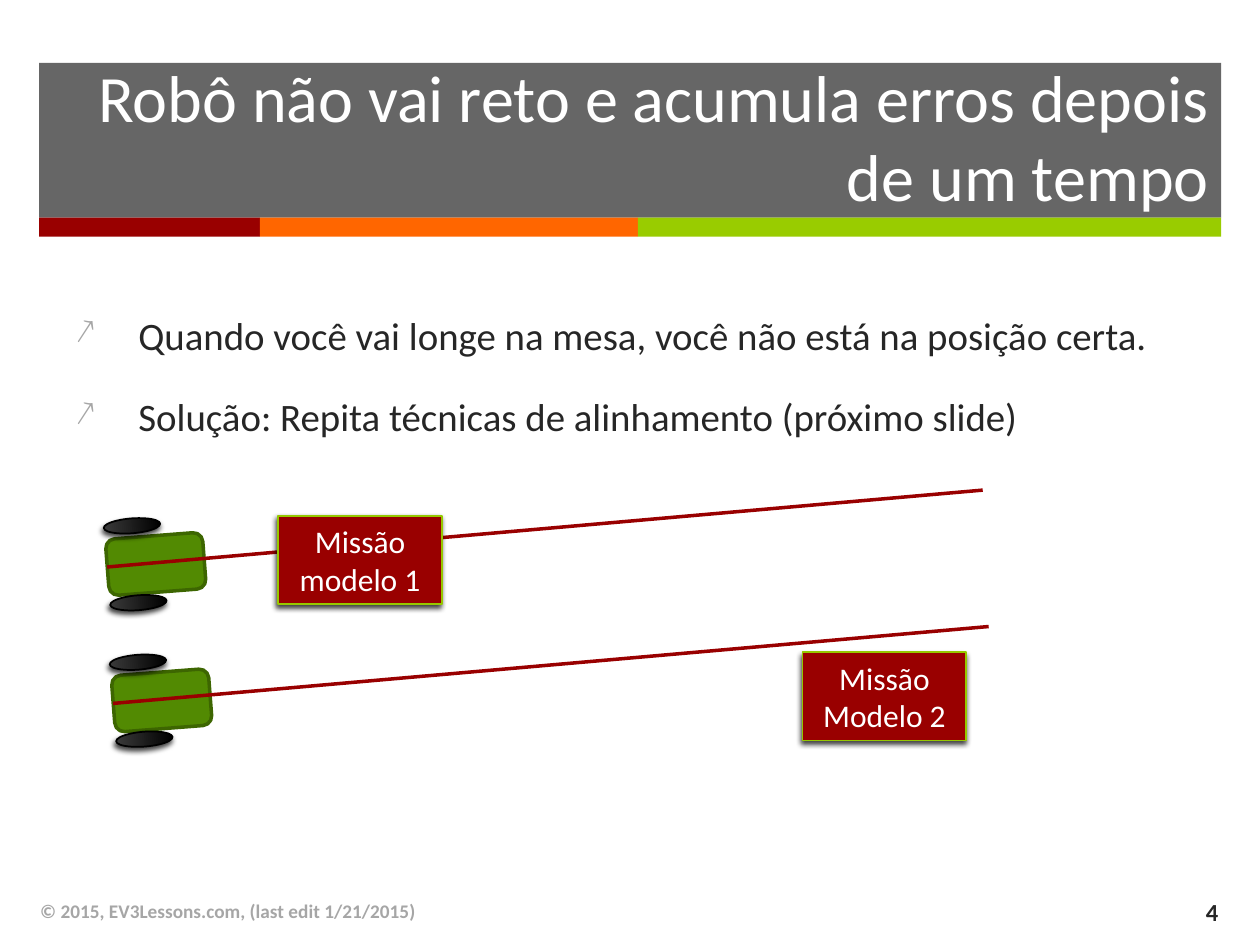
import pptx
import pptx.util
import pptx.dml.color
import pptx.enum.shapes
import pptx.enum.text
import pptx.oxml
import pptx.oxml.ns

Cm, Pt = pptx.util.Cm, pptx.util.Pt
SHAPE = pptx.enum.shapes.MSO_SHAPE
ALIGN = pptx.enum.text.PP_ALIGN
ANCHOR = pptx.enum.text.MSO_ANCHOR
NS = pptx.oxml.ns.nsdecls("a")
COLORS = {
    "dark": "262626", "red": "990000", "orange": "FF6600", "lime": "99CC00",
    "label_edge": "96C800", "green": "528A02", "green_edge": "3D6601",
    "tyre": "3B3B3B", "black": "000000", "grey": "A6A6A6", "white": "FFFFFF",
}


def rgb(name):
    return pptx.dml.color.RGBColor.from_string(COLORS[name])


def xml(markup):
    return pptx.oxml.parse_xml(markup)


def add_shape(slide, kind, box, fill, line=None, width=1, rotation=0):
    sp = slide.shapes.add_shape(kind, *(Cm(v) for v in box))
    sp.shadow.inherit = False
    sp.rotation = rotation
    sp.fill.solid()
    sp.fill.fore_color.rgb = rgb(fill)
    if line:
        sp.line.color.rgb = rgb(line)
        sp.line.width = Pt(width)
    else:
        sp.line.fill.background()
    return sp


def add_shadow(sp):
    effects = sp._element.spPr.find(pptx.oxml.ns.qn("a:effectLst"))
    effects.append(xml(
        f'<a:outerShdw {NS} blurRad="{Pt(3)}" dist="{Pt(2)}" dir="6600000" '
        f'rotWithShape="0"><a:srgbClr val="{COLORS["black"]}">'
        '<a:alpha val="75000"/></a:srgbClr></a:outerShdw>'))


def write(sp, text, size, color, bold=False, align=ALIGN.LEFT,
          anchor=ANCHOR.MIDDLE, bullet=None, space_before=0):
    """Write one paragraph for each line of text."""
    tf = sp.text_frame
    tf.word_wrap = True
    tf.vertical_anchor = anchor
    for i, line in enumerate(text.split("\n")):
        p = tf.add_paragraph() if i else tf.paragraphs[0]
        p.alignment = align
        if i:
            p.space_before = Pt(space_before)
        if bullet:
            pPr = p._p.get_or_add_pPr()
            pPr.set("marL", str(Cm(1.27)))
            pPr.set("indent", str(-Cm(1.27)))
            pPr.append(xml(f'<a:buClr {NS}><a:srgbClr val="{COLORS["grey"]}"/></a:buClr>'))
            pPr.append(xml(f'<a:buSzPct {NS} val="90000"/>'))
            pPr.append(xml(f'<a:buChar {NS} char="{bullet}"/>'))
        r = p.add_run()
        r.text = line
        r.font.name = "Calibri"
        r.font.size = Pt(size)
        r.font.bold = bold
        r.font.color.rgb = rgb(color)


def add_text(slide, box, text, **fmt):
    write(slide.shapes.add_textbox(*(Cm(v) for v in box)), text, **fmt)


def add_header(slide, x, y, w, h, title):
    # Translucent panel above a three-colour band
    panel = add_shape(slide, SHAPE.RECTANGLE, (x, y, w, h), "dark")
    color = panel._element.spPr.find(".//" + pptx.oxml.ns.qn("a:srgbClr"))
    color.append(xml(f'<a:alpha {NS} val="70000"/>'))
    left = x
    for name, width in (("red", 4.45), ("orange", 7.62), ("lime", w - 12.07)):
        add_shape(slide, SHAPE.RECTANGLE, (left, y + h, width, 0.38), name)
        left += width
    add_text(slide, (x + 0.48, y + 0.08, w - 0.48, 2.77), title,
             size=37.8, color="white", align=ALIGN.RIGHT)


def add_robot(slide, x, y):
    """Robot with its drifting course, which starts at the robot's back."""
    tilt = 85.6
    add_shape(slide, SHAPE.ROUNDED_RECTANGLE, (x + 0.41, y + 0.51, 1.14, 1.96),
              "green", "green_edge", width=2, rotation=tilt)
    for dx, dy in ((0.35, 0.15), (0.48, 1.7)):
        wheel = add_shape(slide, SHAPE.OVAL, (x + dx, y + dy, 0.3, 1.14),
                          "black", "black", rotation=tilt)
        wheel.fill.gradient()
        wheel.fill.gradient_angle = 90
        for stop, name in zip(wheel.fill.gradient_stops, ("tyre", "black")):
            stop.color.rgb = rgb(name)
        add_shadow(wheel)
    course = slide.shapes.add_connector(
        pptx.enum.shapes.MSO_CONNECTOR.STRAIGHT,
        Cm(x), Cm(y + 1.55), Cm(x + 17.65), Cm(y))
    course.line.color.rgb = rgb("red")
    course.line.width = Pt(2)
    course._element.spPr.append(xml(f"<a:effectLst {NS}/>"))


def add_mission(slide, x, y, text):
    sp = add_shape(slide, SHAPE.RECTANGLE, (x, y, 3.3, 1.78), "red", "label_edge")
    add_shadow(sp)
    write(sp, text, size=18, color="white", align=ALIGN.CENTER)


def add_footer(slide, x, y, w, h, credit, number):
    add_text(slide, (x, y, 17.02, h), credit, size=11, color="grey", bold=True)
    add_text(slide, (x + w - 1.75, y, 1.75, h), number, size=14,
             color="dark", bold=True, align=ALIGN.RIGHT)


def main():
    prs = pptx.Presentation()
    prs.slide_width, prs.slide_height = Cm(25.4), Cm(19.05)
    slide = prs.slides.add_slide(prs.slide_layouts[6])

    add_header(slide, 0.79, 1.27, 23.83, 3.12,
               "Robô não vai reto e acumula erros depois de um tempo")
    add_text(slide, (1.27, 6.15, 23.34, 3.28),
             "Quando você vai longe na mesa, você não está na posição certa.\n"
             "Solução: Repita técnicas de alinhamento (próximo slide)",
             size=22.2, color="dark", anchor=ANCHOR.TOP, bullet="↗",
             space_before=20)

    # Each run: robot position, mission offset along the course, mission name
    for x, y, offset, name in ((2.16, 9.88, 3.45, "Missão modelo 1"),
                               (2.28, 12.63, 13.9, "Missão Modelo 2")):
        add_robot(slide, x, y)
        add_mission(slide, x + offset, y + 0.52, name)

    add_footer(slide, 0.56, 17.87, 24.25, 1,
               "© 2015, EV3Lessons.com, (last edit 1/21/2015)", "4")
    prs.save("out.pptx")


if __name__ == "__main__":
    main()
